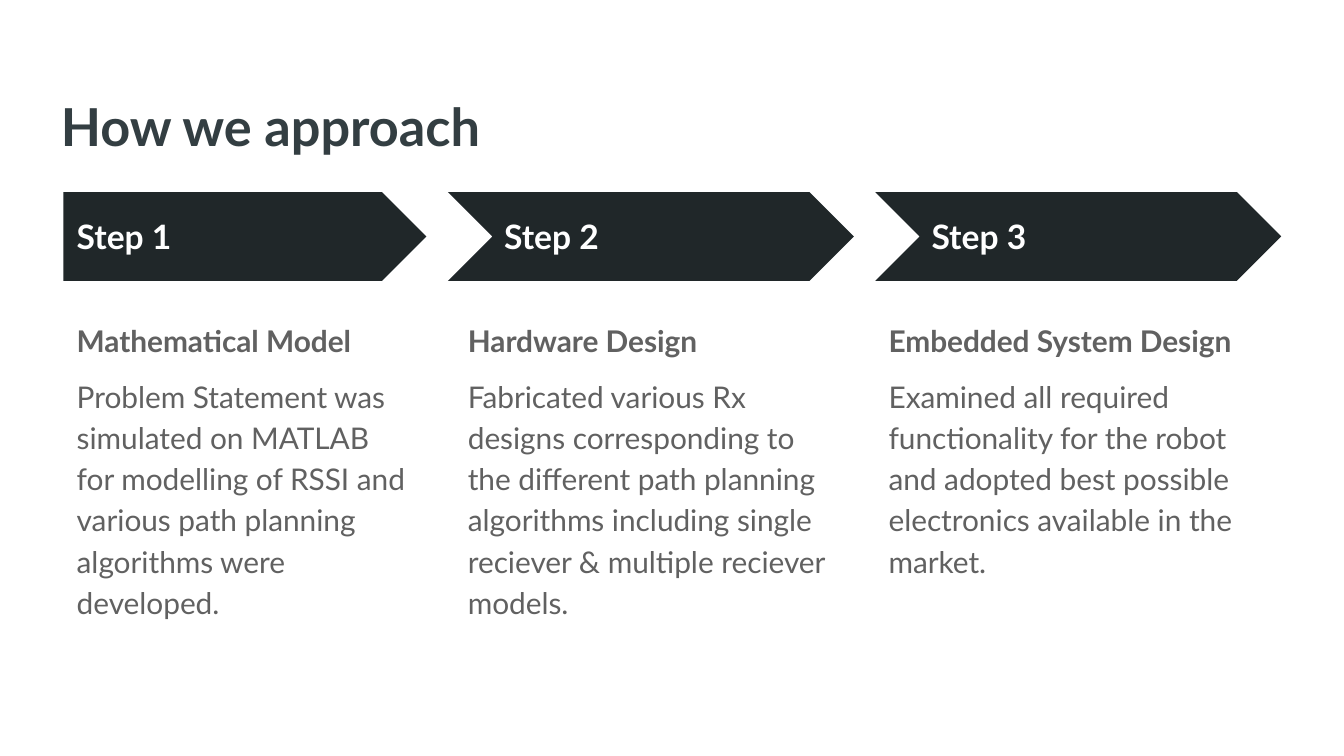
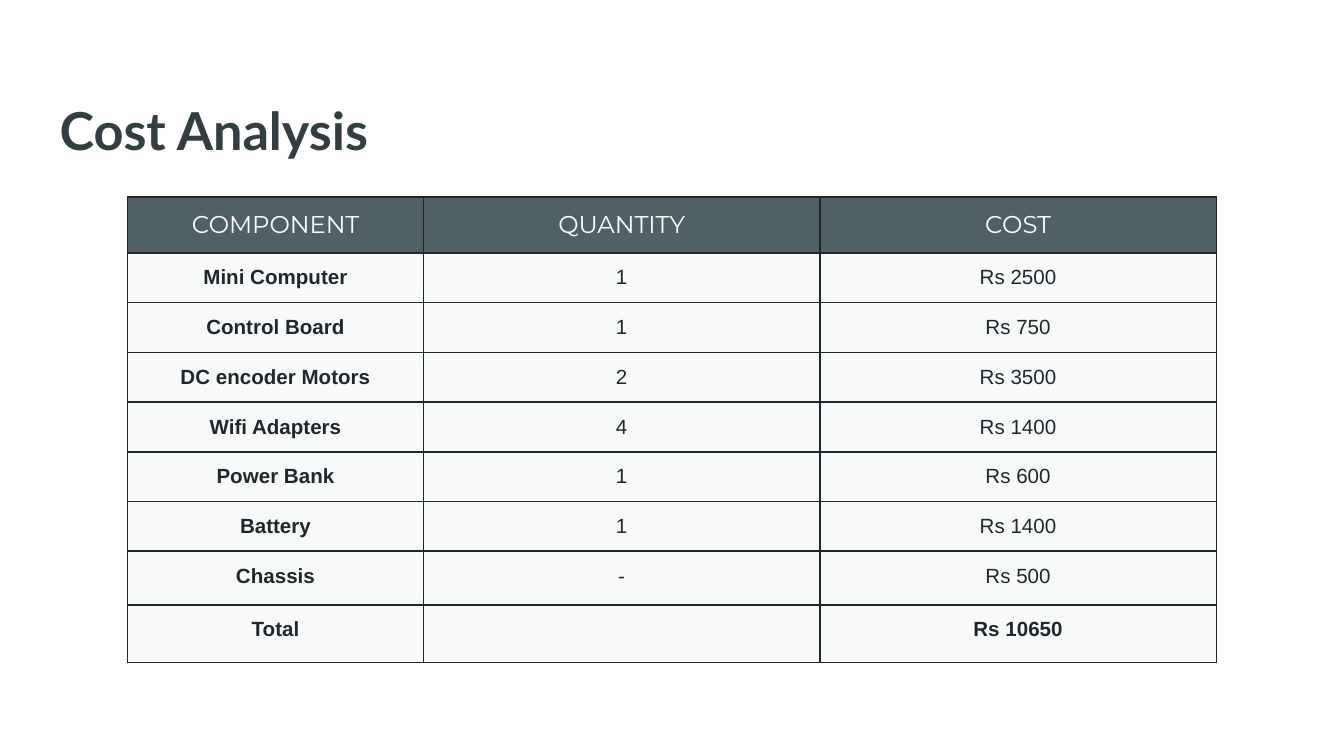
from pptx import Presentation
from pptx import util as u
from pptx.dml.color import RGBColor
from pptx.enum import shapes, text
from pptx.oxml import parse_xml
from pptx.oxml.ns import nsdecls, qn

INK = {"title": "333E42", "dark": "202729", "body": "616161",
       "head": "506166", "tint": "C2CCCF", "white": "FFFFFF"}
WIDE, HIGH = 100, 56.25
UNIT = u.Inches(10) / WIDE
LEFT, CENTER, JUST = text.PP_ALIGN.LEFT, text.PP_ALIGN.CENTER, text.PP_ALIGN.JUSTIFY
TOP, MID = text.MSO_ANCHOR.TOP, text.MSO_ANCHOR.MIDDLE

STEPS = [
    ("Step 1", "Mathematical Model",
     "Problem Statement was simulated on MATLAB for modelling of RSSI and "
     "various path planning algorithms were developed.", 3.2),
    ("Step 2", "Hardware Design",
     "Fabricated various Rx designs corresponding to the different path planning "
     "algorithms including single reciever & multiple reciever models.", 0.5),
    ("Step 3", "Embedded System Design",
     "Examined all required functionality for the robot and adopted best "
     "possible electronics available in the market.", 0),
]
COSTS = [
    ("COMPONENT", "QUANTITY", "COST"),
    ("Mini Computer", "1", "Rs 2500"),
    ("Control Board", "1", "Rs 750"),
    ("DC encoder Motors", "2", "Rs 3500"),
    ("Wifi Adapters", "4", "Rs 1400"),
    ("Power Bank", "1", "Rs 600"),
    ("Battery", "1", "Rs 1400"),
    ("Chassis", "-", "Rs 500"),
    ("Total", "", "Rs 10650"),
]


def grid(*cells):
    """Turn grid columns and rows into slide lengths."""
    return [u.Emu(round(n * UNIT)) for n in cells]


def color(key):
    """Look up a named colour."""
    return RGBColor.from_string(INK[key])


def style(para, face, size, ink, bold=False, align=LEFT):
    """Set the font and alignment of a paragraph."""
    para.alignment = align
    font = para.font
    font.name, font.size, font.bold = face, u.Pt(size), bold
    font.color.rgb = color(ink)


def write(slide, box, lines, size, ink, anchor=TOP):
    """Add a Lato text box of (words, bold, align) lines and return its paragraphs."""
    frame = slide.shapes.add_textbox(*grid(*box)).text_frame
    frame.word_wrap = True
    frame.vertical_anchor = anchor
    frame.margin_left = frame.margin_right = u.Inches(0.1)
    frame.margin_top = frame.margin_bottom = u.Inches(0.1)
    frame.text = "\n".join(words for words, _, _ in lines)
    for para, (_, bold, align) in zip(frame.paragraphs, lines):
        style(para, "Lato", size, ink, bold, align)
    return frame.paragraphs


def start(deck, title, left, top):
    """Add a blank slide with its title."""
    slide = deck.slides.add_slide(deck.slide_layouts[6])
    write(slide, (left, top, 93.2, 6.3), [(title, True, LEFT)], 28, "title")
    return slide


def step(slide, box, data, first):
    """Draw one step: its arrow, label and details."""
    left, top, width, height = box
    label, head, body, inset = data
    notch = 3.2
    kind = shapes.MSO_SHAPE.PENTAGON if first else shapes.MSO_SHAPE.CHEVRON
    skip = notch if first else 0
    arrow = slide.shapes.add_shape(kind, *grid(left + skip, top, width - skip, 6.6))
    arrow.shadow.inherit = False
    arrow.fill.solid()
    arrow.fill.fore_color.rgb = color("dark")
    arrow.line.fill.background()
    write(slide, (left + notch, top + 1.6, 24.7, 3.4),
          [(label, True, LEFT)], 18, "white", MID)
    for para in write(slide, (left + inset, top + 8.3, width - inset, height - 8.3),
                      [(head, True, JUST), (body, False, LEFT)], 16, "body"):
        para.line_spacing = 1.15
        para.space_after = u.Pt(8)


def steps(slide, box):
    """Set the steps side by side with equal gaps."""
    left, top, width, height = box
    gap = 1.6
    each = (width - gap * (len(STEPS) - 1)) / len(STEPS)
    for i, data in enumerate(STEPS):
        step(slide, (left + i * (each + gap), top, each, height), data, i == 0)


def paint(cell, fill, alpha=100):
    """Give a cell its borders and fill."""
    props = cell._tc.get_or_add_tcPr()
    for side in "LRTB":
        props.append(parse_xml(
            f'<a:ln{side} {nsdecls("a")} w="12700"><a:solidFill>'
            f'<a:srgbClr val="{INK["dark"]}"/></a:solidFill></a:ln{side}>'))
    cell.fill.solid()
    cell.fill.fore_color.rgb = color(fill)
    if alpha < 100:
        tone = props.find(qn("a:solidFill")).find(qn("a:srgbClr"))
        tone.append(parse_xml(f'<a:alpha {nsdecls("a")} val="{alpha * 1000}"/>'))


def costs(slide, box):
    """Draw the cost table."""
    width = box[2]
    last = len(COSTS) - 1
    table = slide.shapes.add_table(len(COSTS), 3, *grid(*box)).table
    first = 22
    rest = (width - first) / 2
    for col, size in zip(table.columns, grid(first, rest, rest)):
        col.width = size
    for row, size in zip(table.rows, grid(*[3.7] * (last - 1), 4, 4.3)):
        row.height = size
    for r, row in enumerate(COSTS):
        for c, words in enumerate(row):
            cell = table.cell(r, c)
            cell.text = words
            cell.margin_left = cell.margin_right = u.Inches(0.1)
            cell.margin_top = u.Inches(0.1 if words else 0)
            cell.margin_bottom = u.Inches(0.08 if r and words else 0.1)
            para = cell.text_frame.paragraphs[0]
            if r == 0:
                cell.vertical_anchor = MID
                style(para, "Montserrat", 13, "white", align=CENTER)
                paint(cell, "head")
            else:
                style(para, "Arial", 11, "dark", c == 0 or r == last, CENTER)
                paint(cell, "tint", 10)


def main():
    """Build and save the deck."""
    deck = Presentation()
    deck.slide_width, deck.slide_height = grid(WIDE, HIGH)
    steps(start(deck, "How we approach", 3.55, 6), (1.53, 14.3, 93.8, 37.3))
    costs(start(deck, "Cost Analysis", 3.45, 6.3), (9.5, 14.65, 81, 34.2))
    deck.save("out.pptx")


if __name__ == "__main__":
    main()
